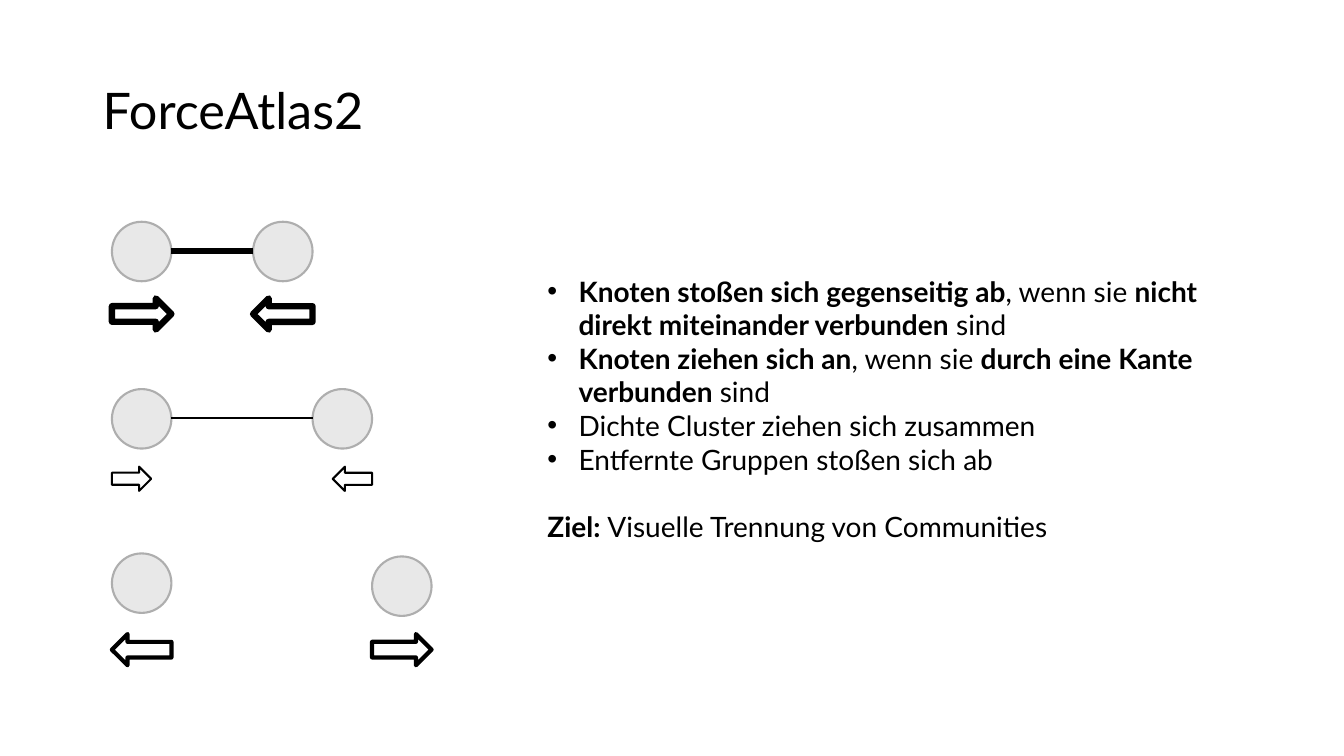
from pptx import Presentation
from pptx import util as u
from pptx.dml.color import RGBColor
from pptx.enum import shapes, text
from pptx.oxml.ns import qn
from lxml import etree

PX = 9144  # 100 px to the inch
INK = {"text": "000000", "node": "E8E8E8", "rim": "AEAEAE"}
FONT = "Lato"
NODE = 59
LEFT = 111

deck = Presentation()
deck.slide_width, deck.slide_height = 1333 * PX, 750 * PX
slide = deck.slides.add_slide(deck.slide_layouts[6])


def write(frame, words, size=20, first=False, bullet=False, before=0, lead=None):
    """Add one paragraph; parts between asterisks are bold."""
    para = frame.paragraphs[0] if first else frame.add_paragraph()
    if bullet:
        props = para._p.get_or_add_pPr()
        props.set("marL", str(31 * PX))
        props.set("indent", str(-31 * PX))
        etree.SubElement(props, qn("a:buFont")).set("typeface", "Arial")
        etree.SubElement(props, qn("a:buChar")).set("char", "•")
    if before:
        para.space_before = u.Pt(before)
    if lead:
        para.line_spacing = lead
    for i, part in enumerate(words.split("*")):
        if part:
            run = para.add_run()
            run.text = part
            run.font.name, run.font.size = FONT, u.Pt(size)
            run.font.bold = i % 2 == 1
            run.font.color.rgb = RGBColor.from_string(INK["text"])


def draw(kind, x, y, w, h, line, width, fill=None, turn=0):
    shape = slide.shapes.add_shape(kind, x * PX, y * PX, w * PX, h * PX)
    shape.shadow.inherit = False
    shape.rotation = turn
    if fill:
        shape.fill.solid()
        shape.fill.fore_color.rgb = RGBColor.from_string(INK[fill])
    else:
        shape.fill.background()
    shape.line.color.rgb = RGBColor.from_string(INK[line])
    shape.line.width = u.Pt(width)


title = slide.shapes.add_textbox(92 * PX, 40 * PX, 1150 * PX, 145 * PX).text_frame
title.word_wrap = True
title.vertical_anchor = text.MSO_ANCHOR.MIDDLE
write(title, "ForceAtlas2", size=36, first=True, lead=0.9)

# right node x, node tops, arrow top, arrow size, arrow line, edge width, turns
pairs = [
    (251, (220, 220), 296, (59, 31), 4.5, 4.5, (0, 180)),
    (310, (386, 386), 463, (39, 24), 1.5, 1.5, (0, 180)),
    (369, (549, 552), 629, (59, 31), 3, None, (180, 0)),
]
for right, tops, low, (w, h), width, edge, turns in pairs:
    for x, top in zip((LEFT, right), tops):
        draw(shapes.MSO_SHAPE.OVAL, x, top, NODE, NODE, "rim", 1.5, fill="node")
    if edge:
        mid = tops[0] + NODE // 2
        link = slide.shapes.add_connector(
            shapes.MSO_CONNECTOR.STRAIGHT,
            (LEFT + NODE) * PX, mid * PX, right * PX, mid * PX)
        link.line.color.rgb = RGBColor.from_string(INK["text"])
        link.line.width = u.Pt(edge)
        etree.SubElement(link._element.spPr, qn("a:effectLst"))
    for x, turn in zip((LEFT, right + NODE - w), turns):
        draw(shapes.MSO_SHAPE.RIGHT_ARROW, x, low, w, h, "text", width, turn=turn)

rules = [
    "*Knoten stoßen sich gegenseitig ab*, wenn sie *nicht direkt miteinander verbunden* sind",
    "*Knoten ziehen sich an*, wenn sie *durch eine Kante verbunden* sind",
    "Dichte Cluster ziehen sich zusammen",
    "Entfernte Gruppen stoßen sich ab",
]
body = slide.shapes.add_textbox(533 * PX, 267 * PX, 689 * PX, 279 * PX).text_frame
body.word_wrap = True
for i, rule in enumerate(rules):
    write(body, rule, first=i == 0, bullet=True)
write(body, "*Ziel: *Visuelle Trennung von Communities", before=24)

deck.save("out.pptx")
